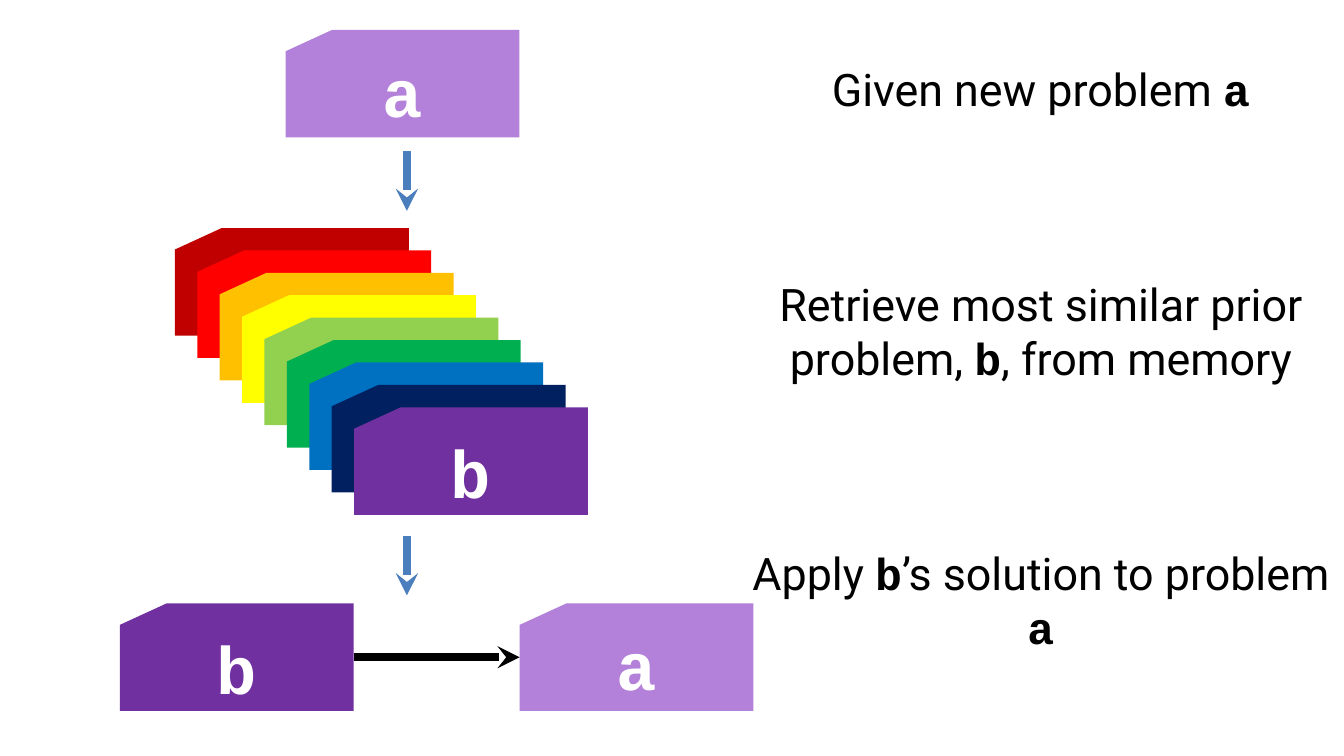
"""Build a slide that shows case-based problem solving with punched cards."""
from lxml import etree
from pptx import Presentation
from pptx.dml.color import RGBColor
from pptx.enum import shapes, text
from pptx.oxml.ns import qn
from pptx.util import Pt

THEME = {
    "body": "Roboto", "code": "Courier New", "body_size": 24, "card_size": 36,
    "black": "000000", "white": "FFFFFF", "blue": "4B7EBC",
    "a": "B381D9", "b": "7030A0",
}
STEPS = [
    [("Given new problem ", False), ("a", True)],
    [("Retrieve most similar prior problem, ", False), ("b", True), (", from memory", False)],
    [("Apply ", False), ("b", True), ("’s solution to problem ", False), ("a", True)],
]
MEMORY = ["C00000", "FF0000", "FFC000", "FFFF00", "92D050", "00B050", "0070C0", "002060"]

CARD_W, CARD_H = 125.3, 57.6
STACK_X, STACK_Y, STACK_STEP = 93.7, 122.2, 12
NEW_X, NEW_Y = 153, 16
B_X, A_X, BOTTOM_Y = 64.2, 278.4, 323.3
DOWN_X = 218
TEXT_X, TEXT_W, TEXT_TOP, STEP_GAP = 395.3, 324.7, 33, 86.5


def color(value):
    return RGBColor.from_string(value)


def add_run(p, words, font, size, fill, bold=False):
    r = p.add_run()
    r.text = words
    r.font.name, r.font.size, r.font.bold = font, Pt(size), bold
    r.font.color.rgb = color(fill)


def add_card(s, x, y, fill, label=None):
    sp = s.shapes.add_shape(shapes.MSO_SHAPE.FLOWCHART_CARD, Pt(x), Pt(y), Pt(CARD_W), Pt(CARD_H))
    sp.shadow.inherit = False
    sp.fill.solid()
    sp.fill.fore_color.rgb = color(fill)
    sp.line.fill.background()
    if label:
        tf = sp.text_frame
        tf.vertical_anchor = text.MSO_ANCHOR.BOTTOM if label == "a" else text.MSO_ANCHOR.MIDDLE
        p = tf.paragraphs[0]
        p.alignment = text.PP_ALIGN.CENTER
        add_run(p, label, THEME["code"], THEME["card_size"], THEME["white"], True)


def add_arrow(s, x1, y1, x2, y2, fill):
    sp = s.shapes.add_connector(shapes.MSO_CONNECTOR.STRAIGHT, Pt(x1), Pt(y1), Pt(x2), Pt(y2))
    sp.line.color.rgb = color(fill)
    sp.line.width = Pt(4)
    props = sp._element.spPr
    etree.SubElement(props.find(qn("a:ln")), qn("a:tailEnd"), type="stealth")
    etree.SubElement(props, qn("a:effectLst"))


def add_steps(s):
    sp = s.placeholders[1]
    sp.left, sp.top, sp.width, sp.height = Pt(TEXT_X), Pt(0), Pt(TEXT_W), Pt(405)
    tf = sp.text_frame
    tf.word_wrap = True
    tf.auto_size = text.MSO_AUTO_SIZE.NONE
    tf.vertical_anchor = text.MSO_ANCHOR.TOP
    tf.margin_left = tf.margin_right = Pt(0)
    tf.margin_top, tf.margin_bottom = Pt(TEXT_TOP), Pt(3.6)
    for i, step in enumerate(STEPS):
        p = tf.add_paragraph() if i else tf.paragraphs[0]
        p.alignment = text.PP_ALIGN.CENTER
        p.space_before = Pt(STEP_GAP if i else 0)
        props = p._p.get_or_add_pPr()
        props.set("marL", "0")
        props.set("indent", "0")
        etree.SubElement(props, qn("a:buNone"))
        for words, is_name in step:
            font = THEME["code"] if is_name else THEME["body"]
            add_run(p, words, font, THEME["body_size"], THEME["black"], is_name)


def main():
    prs = Presentation()
    prs.slide_width, prs.slide_height = Pt(720), Pt(405)
    s = prs.slides.add_slide(prs.slide_layouts[1])
    title = s.shapes.title._element
    title.getparent().remove(title)
    add_steps(s)

    for i, fill in enumerate(MEMORY + [THEME["b"]]):
        label = "b" if i == len(MEMORY) else None
        add_card(s, STACK_X + i * STACK_STEP, STACK_Y + i * STACK_STEP, fill, label)
    for x, y, label in [(NEW_X, NEW_Y, "a"), (A_X, BOTTOM_Y, "a"), (B_X, BOTTOM_Y, "b")]:
        add_card(s, x, y, THEME[label], label)

    for y in (81, 287):
        add_arrow(s, DOWN_X, y, DOWN_X, y + 32, THEME["blue"])
    middle = BOTTOM_Y + CARD_H / 2
    add_arrow(s, B_X + CARD_W, middle, A_X, middle, THEME["black"])
    prs.save("out.pptx")


if __name__ == "__main__":
    main()
